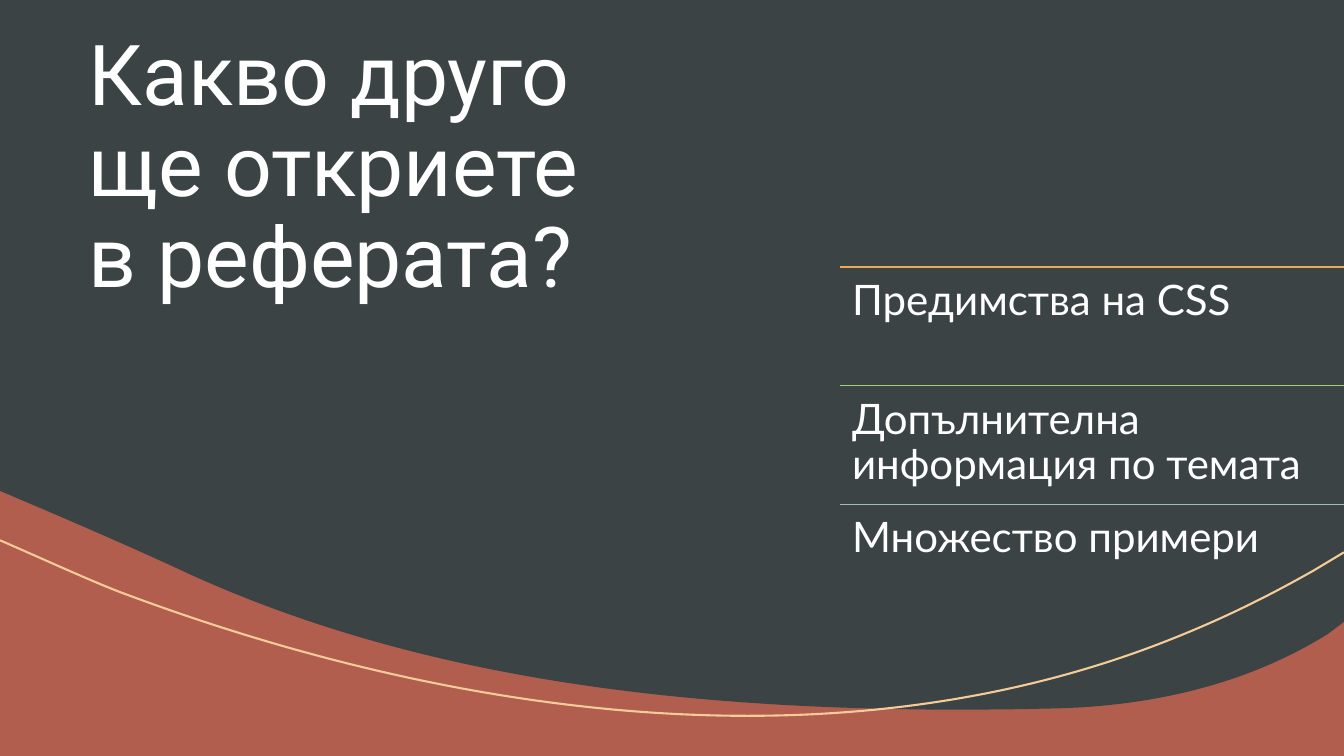
from collections import namedtuple

from lxml.etree import SubElement
from pptx import Presentation
from pptx.dml.color import RGBColor
from pptx.enum.shapes import MSO_CONNECTOR
from pptx.enum.text import MSO_ANCHOR, MSO_AUTO_SIZE, PP_ALIGN
from pptx.oxml.ns import qn
from pptx.util import Inches, Pt

COLORS = {
    "clay": "B15E4E",
    "slate": "3B4345",
    "sand": "F4CB99",
    "white": "FFFFFF",
    "amber": "ECA855",
    "green": "A1D47A",
    "mint": "9BBFB0",
}
WIDTH, HEIGHT = 13.33, 7.5
Box = namedtuple("Box", "left top width height")

FIELD_STEPS = [
    [(0, 0)],
    [(WIDTH, 0)],
    [(WIDTH, 6.17)],
    [(13.17, 6.29)],
    [(12.32, 6.82), (11.33, 7.02), (10.37, 7.03)],
    [(10.02, 7.04), (9.66, 7.04), (9.3, 7.04)],
    [(6.77, 7.02), (4.14, 6.75), (1.78, 5.65)],
    [(1.35, 5.45), (0.91, 5.26), (0.47, 5.07)],
    [(0, 4.87)],
]
ARC_STEPS = [
    [(WIDTH, 5.48)],
    [(13.03, 5.66)],
    [(12.64, 5.88), (12.2, 6.11), (11.62, 6.34)],
    [(8.41, 7.62), (4.65, 7.16), (1.26, 5.9)],
    [(0.98, 5.8), (0.37, 5.52), (0, 5.36)],
]
TOPICS = [
    ("Предимства на CSS", "amber"),
    ("Допълнителна информация по темата", "green"),
    ("Множество примери", "mint"),
]


def rgb(name):
    return RGBColor.from_string(COLORS[name])


def draw_outline(page, box, steps, close):
    placed = [
        [
            (Inches(box.left + x / WIDTH * box.width), Inches(box.top + y / HEIGHT * box.height))
            for x, y in step
        ]
        for step in steps
    ]
    builder = page.shapes.build_freeform(*placed[0][-1], scale=1.0)
    builder.add_line_segments([step[-1] for step in placed[1:]], close=close)
    outline = builder.convert_to_shape()
    outline.shadow.inherit = False
    segments = list(outline._element.iter(qn("a:lnTo")))
    for segment, step in zip(segments, placed[1:]):
        if len(step) == 3:
            bend(segment, step, outline.left, outline.top)
    return outline


def bend(segment, points, left, top):
    curve = SubElement(segment.getparent(), qn("a:cubicBezTo"))
    for x, y in points:
        SubElement(curve, qn("a:pt"), x=str(x - left), y=str(y - top))
    segment.getparent().replace(segment, curve)


def add_waves(page, box):
    field = draw_outline(page, box, FIELD_STEPS, True)
    field.fill.solid()
    field.fill.fore_color.rgb = rgb("slate")
    field.line.fill.background()

    arc = draw_outline(page, box, ARC_STEPS, False)
    arc.fill.background()
    arc.line.color.rgb = rgb("sand")
    arc.line.width = Pt(1.5)


def fill_holder(holder, box, margins, text, font, size):
    holder.left, holder.top, holder.width, holder.height = map(Inches, box)
    frame = holder.text_frame
    frame.word_wrap = True
    frame.auto_size = MSO_AUTO_SIZE.NONE
    frame.vertical_anchor = MSO_ANCHOR.TOP
    frame.margin_left = frame.margin_right = Inches(margins[0])
    frame.margin_top = frame.margin_bottom = Inches(margins[1])
    para = frame.paragraphs[0]
    para.alignment = PP_ALIGN.LEFT
    para.line_spacing = 0.9
    para.space_before = Pt(0)
    span = para.add_run()
    span.text = text
    span.font.name = font
    span.font.size = Pt(size)
    span.font.bold = False
    span.font.color.rgb = rgb("white")
    return para


def add_title(page, box):
    text = "Какво друго ще откриете в реферата?"
    fill_holder(page.shapes.title, box, (0.1, 0.05), text, "Roboto", 60)


def add_rule(page, box, color):
    left, top, right = map(Inches, (box.left, box.top, box.left + box.width))
    rule = page.shapes.add_connector(MSO_CONNECTOR.STRAIGHT, left, top, right, top)
    rule.line.color.rgb = rgb(color)
    rule.line.width = Pt(1)
    SubElement(rule._element.spPr, qn("a:effectLst"))


def add_topics(page, box, holders):
    row_height = box.height / len(TOPICS)
    for index, (holder, (text, color)) in enumerate(zip(holders, TOPICS)):
        row = Box(box.left, box.top + index * row_height, box.width, row_height)
        add_rule(page, row, color)
        para = fill_holder(holder, row, (0.12, 0.12), text, "Lato", 30)
        properties = para._p.get_or_add_pPr()
        properties.set("marL", "0")
        properties.set("indent", "0")
        SubElement(properties, qn("a:buNone"))
        page.shapes._spTree.append(holder._element)


def build_slide(deck):
    page = deck.slides.add_slide(deck.slide_layouts.get_by_name("Comparison"))
    page.background.fill.solid()
    page.background.fill.fore_color.rgb = rgb("clay")
    title, *holders, spare = list(page.placeholders)
    spare._element.getparent().remove(spare._element)
    add_waves(page, Box(0, 0, WIDTH, HEIGHT))
    page.shapes._spTree.append(title._element)
    add_title(page, Box(0.78, 0.28, 5.72, 3.91))
    add_topics(page, Box(WIDTH * 0.625, 2.65, WIDTH * 0.375, 3.53), holders)


deck = Presentation()
deck.slide_width = Inches(WIDTH)
deck.slide_height = Inches(HEIGHT)
build_slide(deck)
deck.save("out.pptx")
